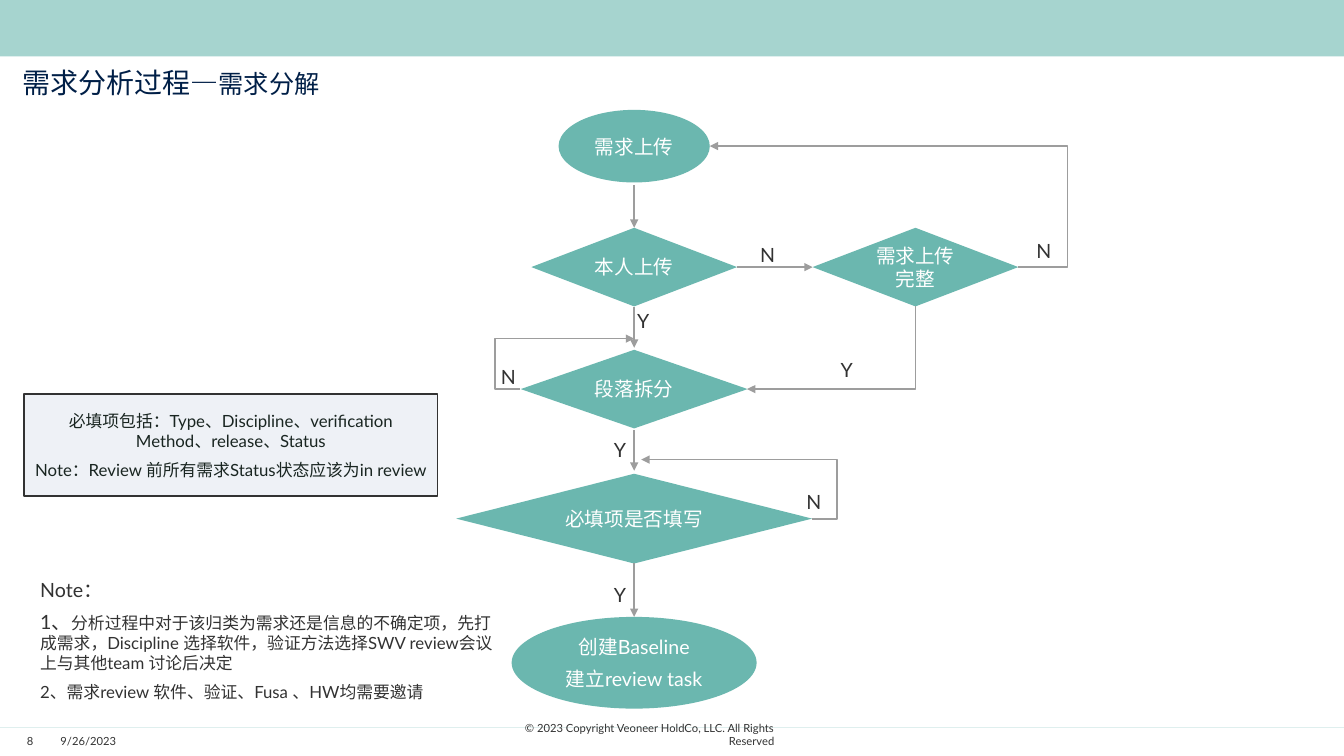
from collections import namedtuple
from dataclasses import dataclass

from lxml.etree import SubElement
from pptx import Presentation
from pptx.dml.color import RGBColor as RGB
from pptx.enum.shapes import MSO_CONNECTOR as LINK, MSO_SHAPE as SHAPE
from pptx.enum.text import MSO_ANCHOR as ANCHOR, PP_ALIGN as ALIGN
from pptx.oxml.ns import qn
from pptx.util import Inches, Pt

Box = namedtuple("Box", "x y w h")


@dataclass(frozen=True)
class Theme:
    face: str = "Lato"
    navy: str = "001F47"
    ink: str = "323232"
    dark: str = "192521"
    mint: str = "A6D4CF"
    teal: str = "6BB7AF"
    pale: str = "EEF1F6"
    grey: str = "9D9D9D"
    white: str = "FFFFFF"
    title: int = 20
    sub: int = 18
    body: int = 14
    note: int = 12
    foot: int = 8


T = Theme()


def emu(*vals):
    return [Inches(v) for v in vals]


def put(item, vals):
    for key, val in vals.items():
        setattr(item, key, val)


def write(shape, paras, tone, align=ALIGN.LEFT, frame=None, gap=6, lead=None):
    """Fill a shape; each paragraph is a list of (text, size) runs."""
    tf = shape.text_frame
    put(tf, {"word_wrap": True, **(frame or {})})
    for i, runs in enumerate(paras):
        p = tf.paragraphs[0] if i == 0 else tf.add_paragraph()
        put(p, {"alignment": align, "space_before": Pt(gap if i else 0)})
        if lead:
            p.line_spacing = lead
        for text, size in runs:
            r = p.add_run()
            r.text = text
            put(r.font, {"name": T.face, "size": Pt(size)})
            r.font.color.rgb = RGB.from_string(tone)


def label(slide, box, paras, tone=T.ink, **opts):
    write(slide.shapes.add_textbox(*emu(*box)), paras, tone, **opts)


def block(slide, kind, box, fill, edge=None):
    shape = slide.shapes.add_shape(kind, *emu(*box))
    shape.shadow.inherit = False
    shape.fill.solid()
    shape.fill.fore_color.rgb = RGB.from_string(fill)
    if edge:
        shape.line.color.rgb = RGB.from_string(edge)
        shape.line.width = Pt(1)
    else:
        shape.line.fill.background()
    return shape


def arrow(slide, start, end, bend=None):
    """Arrow from start to end; bend is the x of an elbow's upright part."""
    kind = LINK.STRAIGHT if bend is None else LINK.ELBOW
    link = slide.shapes.add_connector(kind, *emu(*start, *end))
    link.line.color.rgb = RGB.from_string(T.grey)
    link.line.width = Pt(1)
    props = link._element.spPr
    SubElement(props.find(qn("a:ln")), qn("a:tailEnd"), type="triangle")
    SubElement(props, qn("a:effectLst"))
    if bend is not None:
        part = (bend - start[0]) / (end[0] - start[0])
        geom = props.find(qn("a:prstGeom"))
        hold = geom.find(qn("a:avLst"))
        if hold is None:
            hold = SubElement(geom, qn("a:avLst"))
        SubElement(hold, qn("a:gd"), name="adj1",
                   fmla=f"val {round(part * 100000)}")
    return link


FLAT = {f"margin_{side}": 0 for side in ("left", "top", "right", "bottom")}


# Top band and title
def header(slide, box):
    block(slide, SHAPE.RECTANGLE, box, T.mint)
    label(slide, Box(box.x + 0.22, box.y + 0.69, 12.13, 0.3),
          [[("需求分析过程—", T.title), ("需求分解", T.sub)]],
          T.navy, frame=FLAT, lead=0.9)


# Page number, date and copyright line
def footer(slide, box):
    block(slide, SHAPE.RECTANGLE, box, T.white)
    block(slide, SHAPE.RECTANGLE, box._replace(h=0), T.mint)
    parts = [
        (4.79, 2.89, "© 2023 Copyright Veoneer HoldCo, LLC. All Rights Reserved",
         ALIGN.RIGHT),
        (0.6, 0.95, "9/26/2023", ALIGN.LEFT),
        (0.22, 0.16, "8", ALIGN.CENTER),
    ]
    frame = {**FLAT, "vertical_anchor": ANCHOR.BOTTOM}
    for x, w, text, align in parts:
        label(slide, Box(box.x + x, box.y + 0.07, w, 0.13),
              [[(text, T.foot)]], align=align, frame=frame)


# Framed list of required fields
def fields(slide, box):
    frame = block(slide, SHAPE.RECTANGLE, box, T.pale, T.ink)
    lines = ["必填项包括：Type、Discipline、verification Method、release、Status",
             "Note：Review 前所有需求Status状态应该为in review"]
    write(frame, [[(text, T.note)] for text in lines], T.dark,
          ALIGN.CENTER, {"vertical_anchor": ANCHOR.MIDDLE})


# Notes under the frame
def notes(slide, box):
    label(slide, box, [
        [("Note：", T.body)],
        [("1、", T.body),
         ("分析过程中对于该归类为需求还是信息的不确定项，先打成需求，"
          "Discipline 选择软件，验证方法选择SWV review"
          "会议上与其他team 讨论后决定", T.note)],
        [("2、需求review 软件、验证、Fusa 、HW均需要邀请", T.note)],
    ])


# Flow chart: offsets run from the main axis and the top of the box
def flow(slide, box):
    axis = box.x + 1.77

    def spot(x, y):
        return axis + x, box.y + y

    oval, test = SHAPE.OVAL, SHAPE.FLOWCHART_DECISION
    steps = {  # kind, centre x, top, width, height, lines
        "start": (oval, 0, 0, 1.5, 0.72, ["需求上传"]),
        "own": (test, 0, 1.17, 2.04, 0.78, ["本人上传"]),
        "full": (test, 2.79, 1.17, 2.04, 0.78, ["需求上传完整"]),
        "split": (test, 0, 2.38, 2.25, 0.78, ["段落拆分"]),
        "filled": (test, 0, 3.61, 3.53, 0.89, ["必填项是否填写"]),
        "end": (oval, 0, 5.03, 2.43, 0.91, ["创建Baseline", "建立review task"]),
    }
    nodes = {}
    for name, (kind, mid, top, w, h, lines) in steps.items():
        node = block(slide, kind, Box(*spot(mid - w / 2, top), w, h), T.teal)
        write(node, [[(text, T.body)] for text in lines], T.white,
              ALIGN.CENTER, {"vertical_anchor": ANCHOR.MIDDLE})
        nodes[name] = node

    # Straight arrows: ends, then joined node and side at each end
    runs = [
        ((0, 0.75), (0, 1.17), None, ("own", 0)),
        ((0, 1.96), (0, 2.36), None, None),
        ((0, 3.18), (0, 3.58), None, None),
        ((0, 4.5), (0, 5.03), ("filled", 2), ("end", 0)),
        ((1.02, 1.56), (1.77, 1.56), ("own", 3), ("full", 1)),
    ]
    for start, end, tail, head in runs:
        link = arrow(slide, spot(*start), spot(*end))
        if tail:
            link.begin_connect(nodes[tail[0]], tail[1])
        if head:
            link.end_connect(nodes[head[0]], head[1])

    # Elbow arrows: ends and the x of the bend
    bends = [
        ((3.81, 1.56), (0.75, 0.36), 4.3),
        ((-1.13, 2.77), (0, 2.27), -1.38),
        ((2.79, 1.95), (1.12, 2.77), 2.79),
        ((1.76, 4.06), (0.07, 3.47), 2.01),
    ]
    for start, end, bend in bends:
        arrow(slide, spot(*start), spot(*end), axis + bend)

    # Yes and no marks
    marks = {
        "N": [(3.89, 1.23), (-1.42, 2.48), (1.61, 3.72), (1.15, 1.27)],
        "Y": [(-0.3, 3.21), (-0.07, 1.93), (1.95, 2.41), (-0.3, 4.64)],
    }
    for mark, spots in marks.items():
        for at in spots:
            label(slide, Box(*spot(*at), 0.29, 0.34), [[(mark, T.body)]])


def main():
    deck = Presentation()
    put(deck, {"slide_width": Inches(13.33), "slide_height": Inches(7.5)})
    slide = deck.slides.add_slide(deck.slide_layouts[6])
    footer(slide, Box(0, 7.22, 13.33, 0.28))
    header(slide, Box(0, 0, 13.33, 0.56))
    notes(slide, Box(0.3, 5.68, 4.69, 1.35))
    fields(slide, Box(0.24, 3.91, 4.1, 1.01))
    flow(slide, Box(4.52, 1.09, 6.07, 5.94))
    deck.save("out.pptx")


if __name__ == "__main__":
    main()
